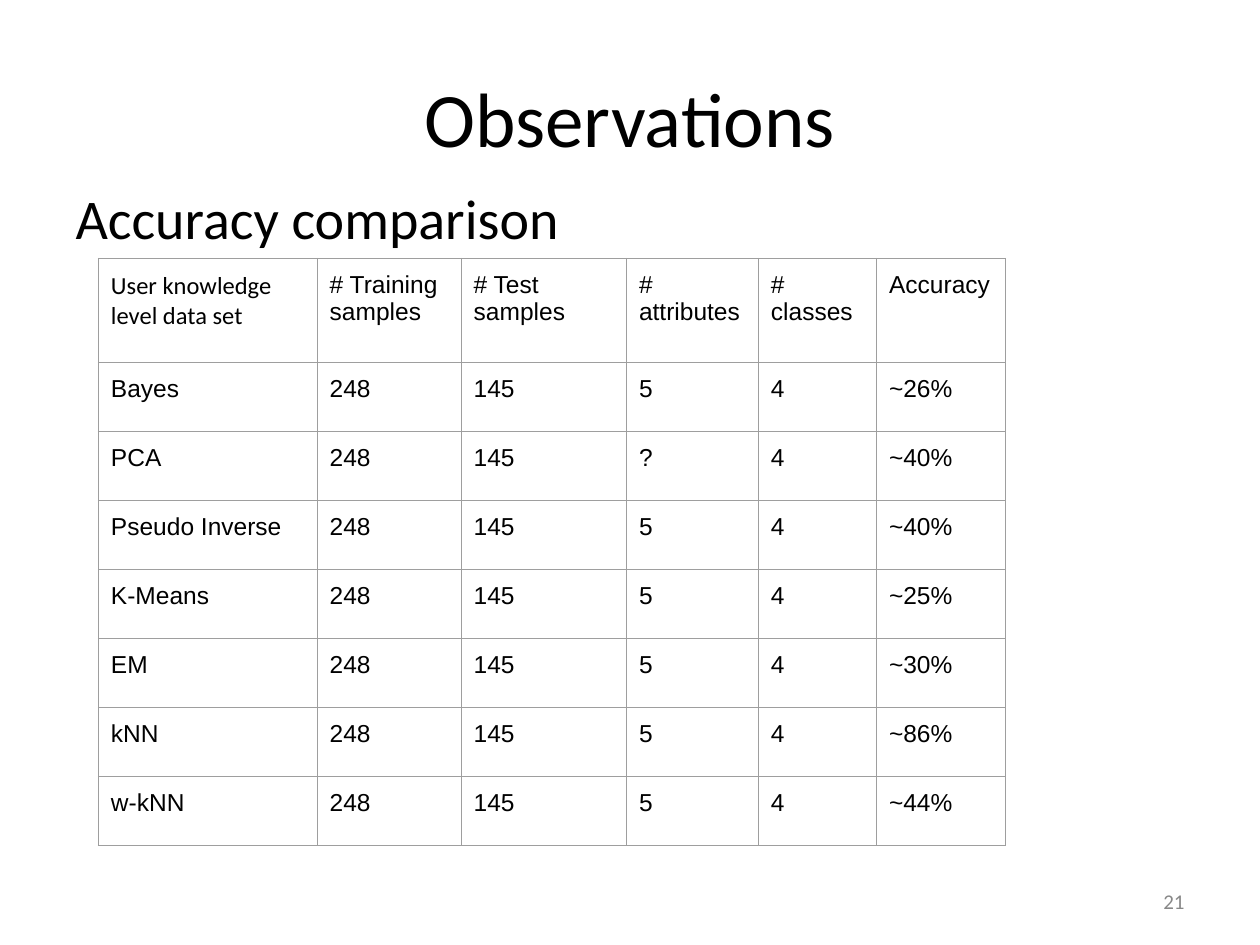
from pptx import Presentation
from pptx.dml.color import RGBColor
from pptx.enum.text import MSO_ANCHOR, MSO_AUTO_SIZE, PP_ALIGN
from pptx.oxml.ns import qn
from pptx.util import Pt
from lxml.etree import SubElement

HEAD = ["User knowledge level data set", "# Training samples", "# Test samples",
        "# attributes", "# classes", "Accuracy"]
SCORES = [("Bayes", "5", "~26%"), ("PCA", "?", "~40%"),
          ("Pseudo Inverse", "5", "~40%"), ("K-Means", "5", "~25%"),
          ("EM", "5", "~30%"), ("kNN", "5", "~86%"), ("w-kNN", "5", "~44%")]
WIDTHS = [125.0, 82.3, 94.5, 75.4, 67.5, 74.0]
TOP_ROW, ROW = 59.6, 39.43


def paint(hue):
    return RGBColor.from_string(hue)


def write(frame, text, size, font="Calibri", hue="000000", align=PP_ALIGN.LEFT):
    par = frame.paragraphs[0]
    par.alignment = align
    run = par.add_run()
    run.text = text
    run.font.size = Pt(size)
    run.font.name = font
    run.font.color.rgb = paint(hue)
    return par


def place(shape, left, top, width, height, anchor):
    shape.left, shape.top = Pt(left), Pt(top)
    shape.width, shape.height = Pt(width), Pt(height)
    frame = shape.text_frame
    frame.word_wrap = True
    frame.auto_size = MSO_AUTO_SIZE.NONE
    frame.vertical_anchor = anchor
    return frame


def add_title(slide):
    frame = place(slide.shapes.title, 36, 21.6, 648, 90, MSO_ANCHOR.MIDDLE)
    write(frame, "Observations", 44, align=PP_ALIGN.CENTER)


def add_body(slide):
    frame = place(slide.placeholders[1], 36, 101.5, 648, 412, MSO_ANCHOR.TOP)
    props = write(frame, "Accuracy comparison", 32)._p.get_or_add_pPr()
    props.set("marL", str(Pt(27)))
    props.set("indent", str(Pt(-27)))
    SubElement(props, qn("a:buNone"))


def add_number(slide):
    box = slide.shapes.add_textbox(0, 0, 0, 0)
    frame = place(box, 516, 500.5, 168, 28.75, MSO_ANCHOR.MIDDLE)
    write(frame, "21", 12, hue="888888", align=PP_ALIGN.RIGHT)


def rule(cell, hue, width):
    props = cell._tc.get_or_add_tcPr()
    for side in ("lnL", "lnR", "lnT", "lnB"):
        line = SubElement(props, qn("a:" + side), w=str(Pt(width)))
        fill = SubElement(line, qn("a:solidFill"))
        SubElement(fill, qn("a:srgbClr"), val=hue)


def fill_cell(cell, text, font):
    cell.margin_left = cell.margin_right = Pt(7.2)
    cell.margin_top = cell.margin_bottom = Pt(7.2)
    cell.vertical_anchor = MSO_ANCHOR.TOP
    rule(cell, "9E9E9E", 0.75)
    cell.fill.background()
    write(cell.text_frame, text, 14, font)


def add_grid(slide):
    rows = [HEAD] + [[name, "248", "145", count, "4", score]
                     for name, count, score in SCORES]
    high = TOP_ROW + ROW * len(SCORES)
    frame = slide.shapes.add_table(len(rows), len(HEAD), Pt(56.2), Pt(147.6),
                                   Pt(sum(WIDTHS)), Pt(high))
    table = frame.table
    table.first_row = table.horz_banding = False
    for col, width in zip(table.columns, WIDTHS):
        col.width = Pt(width)
    for r, row in enumerate(rows):
        table.rows[r].height = Pt(ROW if r else TOP_ROW)
        for c, text in enumerate(row):
            font = "Arial" if r or c else "Calibri"
            fill_cell(table.cell(r, c), text, font)


def main():
    deck = Presentation()
    deck.slide_width, deck.slide_height = Pt(720), Pt(540)
    slide = deck.slides.add_slide(deck.slide_layouts[1])
    slide.background.fill.solid()
    slide.background.fill.fore_color.rgb = paint("FFFFFF")
    add_title(slide)
    add_body(slide)
    add_number(slide)
    add_grid(slide)
    deck.save("out.pptx")


if __name__ == "__main__":
    main()
